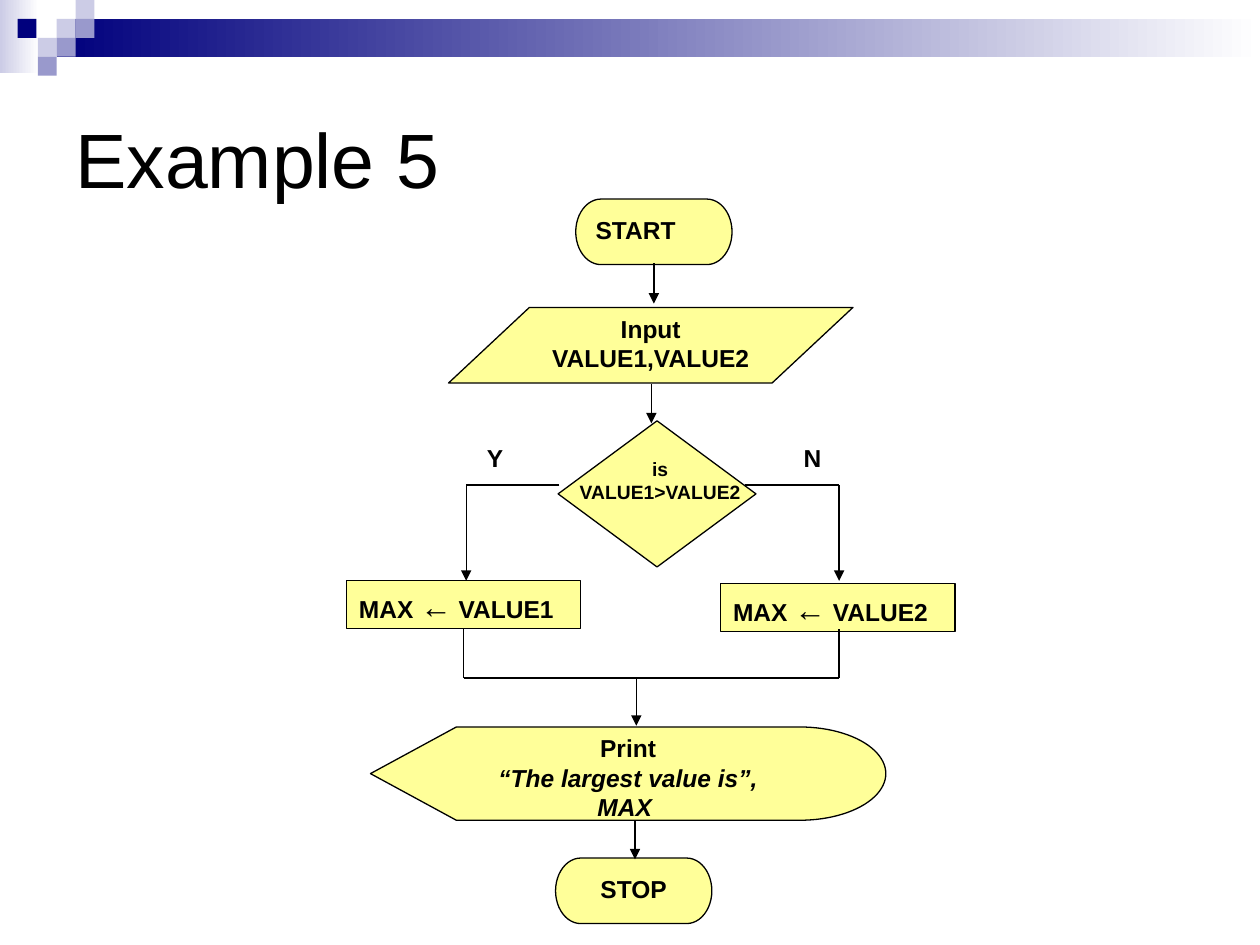
import pptx
import pptx.util
import pptx.dml.color
import pptx.enum.shapes
import pptx.enum.text
import lxml.etree

Inches, Pt = pptx.util.Inches, pptx.util.Pt
RGBColor = pptx.dml.color.RGBColor
Kind = pptx.enum.shapes.MSO_SHAPE
Align = pptx.enum.text.PP_ALIGN
Anchor = pptx.enum.text.MSO_ANCHOR

BLACK = RGBColor(0, 0, 0)
WHITE = RGBColor(255, 255, 255)
YELLOW = RGBColor(0xFF, 0xFF, 0x99)
NAVY = RGBColor(0, 0, 0x7D)
PALE = RGBColor(0xCC, 0xCC, 0xE6)
LILAC = RGBColor(0x99, 0x99, 0xCC)
WIDE, HIGH = 10, 7.5
CELL = 0.15
LEFT, MID = Align.LEFT, Align.CENTER

# Header: fading bars in inches, then tiles as column, row on the cell grid
BARS = [((0, 0, 0.31, 0.58), PALE), ((3 * CELL, CELL, WIDE - 3 * CELL, 2 * CELL), NAVY)]
TILES = [(3, 1, PALE), (4, 0, PALE), (4, 1, LILAC), (2, 2, PALE),
         (0.93, 1, NAVY), (3, 2, LILAC), (2, 3, LILAC)]

# Paragraphs are lists of (words, size, style); style is b, i or both
TITLE = [[("Example 5", 44, "")]]
PRINT = [[("Print", 14, "b")], [("“The largest value is”, MAX ", 14, "bi")]]
INPUT = [[("Input", 14, "b")], [("VALUE1,VALUE2", 14, "b")]]
TEST = [[("is", 11, "b")], [("VALUE1>VALUE2", 11, "b")]]


def word(text):
    """Give one bold paragraph."""
    return [[(text, 14, "b")]]


def assign(name):
    """Give the paragraph that stores a value in MAX."""
    return [[("MAX ", 14, "b"), ("←", 18, ""), (" " + name, 14, "b")]]


END, BOX = (1.24, 0.52), (1.86, 0.38)
NODES = [
    (Kind.FLOWCHART_TERMINATOR, (4.57, 1.58), END, word("START"), LEFT),
    (Kind.FLOWCHART_DATA, (3.56, 2.44), (3.21, 0.6), INPUT, MID),
    (Kind.FLOWCHART_DECISION, (4.43, 3.34), (1.57, 1.16), [], MID),
    (Kind.FLOWCHART_PROCESS, (2.75, 4.61), BOX, assign("VALUE1"), LEFT),
    (Kind.FLOWCHART_PROCESS, (5.72, 4.63), BOX, assign("VALUE2"), LEFT),
    (Kind.FLOWCHART_DISPLAY, (2.94, 5.77), (4.09, 0.74), PRINT, MID),
    (Kind.FLOWCHART_TERMINATOR, (4.41, 6.81), END, word("STOP"), MID),
]
LABELS = [
    ((0.5, 0.5), (9, 1.5), TITLE, LEFT, Anchor.MIDDLE),
    ((3.56, 3.47), (0.74, 0.38), word("Y"), MID, Anchor.TOP),
    ((6.28, 3.47), (0.74, 0.38), word("N"), LEFT, Anchor.TOP),
    ((4.06, 3.58), (2.36, 0.64), TEST, MID, Anchor.TOP),
]
# Routes of corner points, and whether the last stretch ends in an arrow
FORK, JOIN, YES, NO = 3.85, 5.38, 3.7, 6.66
ROUTES = [
    ([(5.19, 2.09), (5.19, 2.41)], True),
    ([(5.17, 3.05), (5.17, 3.36)], True),
    ([(4.44, FORK), (YES, FORK), (YES, 4.61)], True),
    ([(5.91, FORK), (NO, FORK), (NO, 4.61)], True),
    ([(3.68, 4.99), (3.68, JOIN), (NO, JOIN), (NO, 4.99)], False),
    ([(5.05, JOIN), (5.05, 5.76)], True),
    ([(5.04, 6.51), (5.04, 6.82)], True),
]

deck = pptx.Presentation()
deck.slide_width, deck.slide_height = Inches(WIDE), Inches(HIGH)
page = deck.slides.add_slide(deck.slide_layouts[6])


def shape(kind, spot, size):
    """Add a shape without shadow or line."""
    item = page.shapes.add_shape(kind, *map(Inches, spot + size))
    item.shadow.inherit = False
    item.line.fill.background()
    return item


def paint(item, color):
    """Fill a shape with one colour."""
    item.fill.solid()
    item.fill.fore_color.rgb = color


def ink(line):
    """Set the thin black line."""
    line.color.rgb = BLACK
    line.width = Pt(0.75)


def write(item, paras, align, anchor):
    """Fill a text frame with styled paragraphs."""
    frame = item.text_frame
    frame.word_wrap = True
    frame.vertical_anchor = anchor
    frame.text = "\n".join("" for _ in paras)
    for para, runs in zip(frame.paragraphs, paras):
        para.alignment = align
        for text, size, style in runs:
            run = para.add_run()
            run.text = text
            font = run.font
            font.name, font.size = "Arial", Pt(size)
            font.bold, font.italic = "b" in style, "i" in style
            font.color.rgb = BLACK


def link(start, end, arrow):
    """Draw a straight line, with an arrowhead if asked."""
    item = page.shapes.add_connector(pptx.enum.shapes.MSO_CONNECTOR.STRAIGHT,
                                     *map(Inches, start + end))
    ink(item.line)
    if arrow:
        tail = lxml.etree.SubElement(item.line._get_or_add_ln(),
                                     pptx.oxml.ns.qn("a:tailEnd"))
        tail.set("type", "triangle")
    lxml.etree.SubElement(item._element.spPr, pptx.oxml.ns.qn("a:effectLst"))


for (x, y, w, h), color in BARS:
    bar = shape(Kind.RECTANGLE, (x, y), (w, h))
    bar.fill.gradient()
    bar.fill.gradient_angle = 0
    for stop, tone, place in zip(bar.fill.gradient_stops, (color, WHITE), (0, 1)):
        stop.color.rgb = tone
        stop.position = place

for col, row, color in TILES:
    paint(shape(Kind.RECTANGLE, (col * CELL, row * CELL), (CELL, CELL)), color)

for kind, spot, size, paras, align in NODES:
    node = shape(kind, spot, size)
    paint(node, YELLOW)
    ink(node.line)
    write(node, paras, align, Anchor.TOP)

for points, arrow in ROUTES:
    for i, (start, end) in enumerate(zip(points, points[1:]), 2):
        link(start, end, arrow and i == len(points))

for spot, size, paras, align, anchor in LABELS:
    write(page.shapes.add_textbox(*map(Inches, spot + size)), paras, align, anchor)

deck.save("out.pptx")
